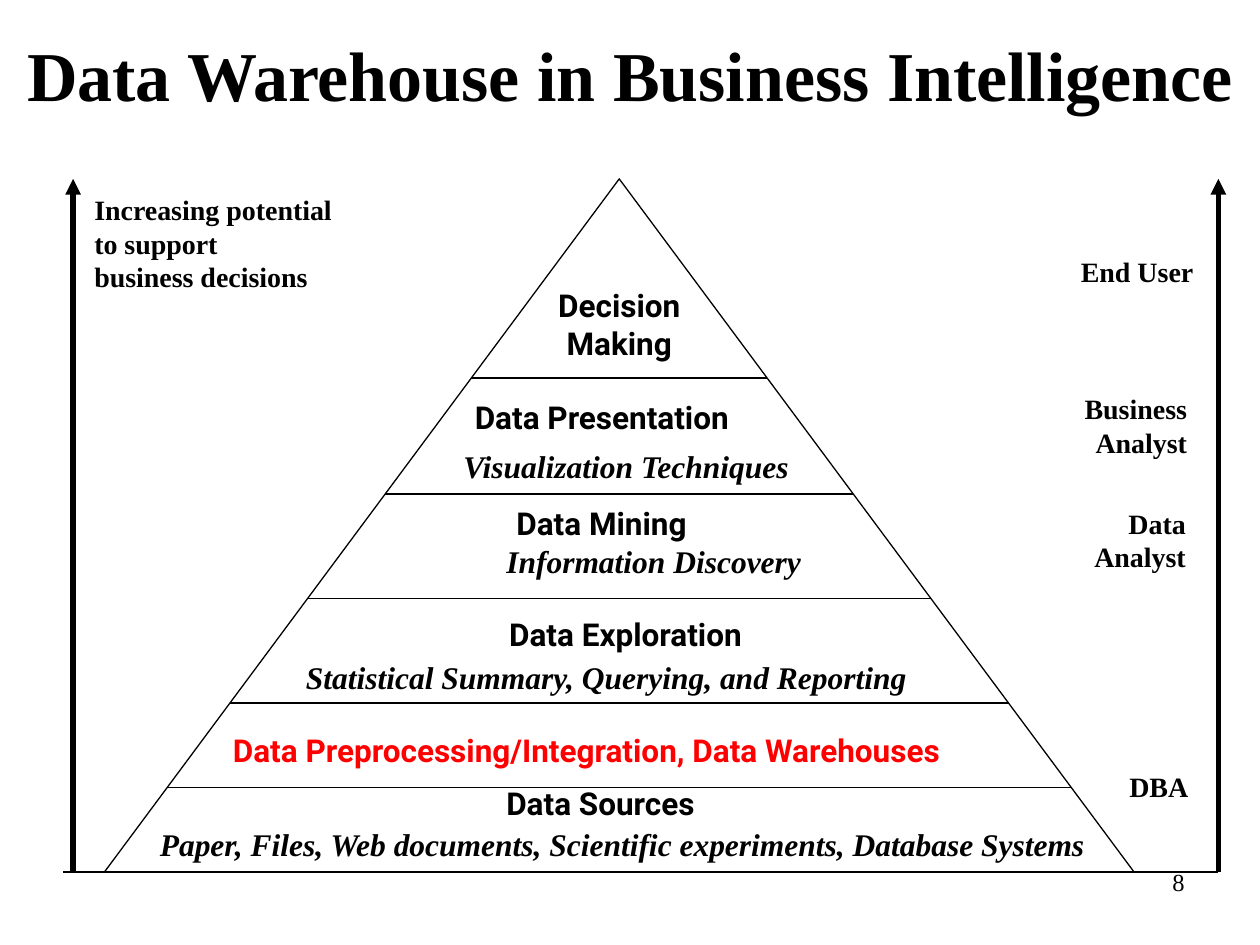
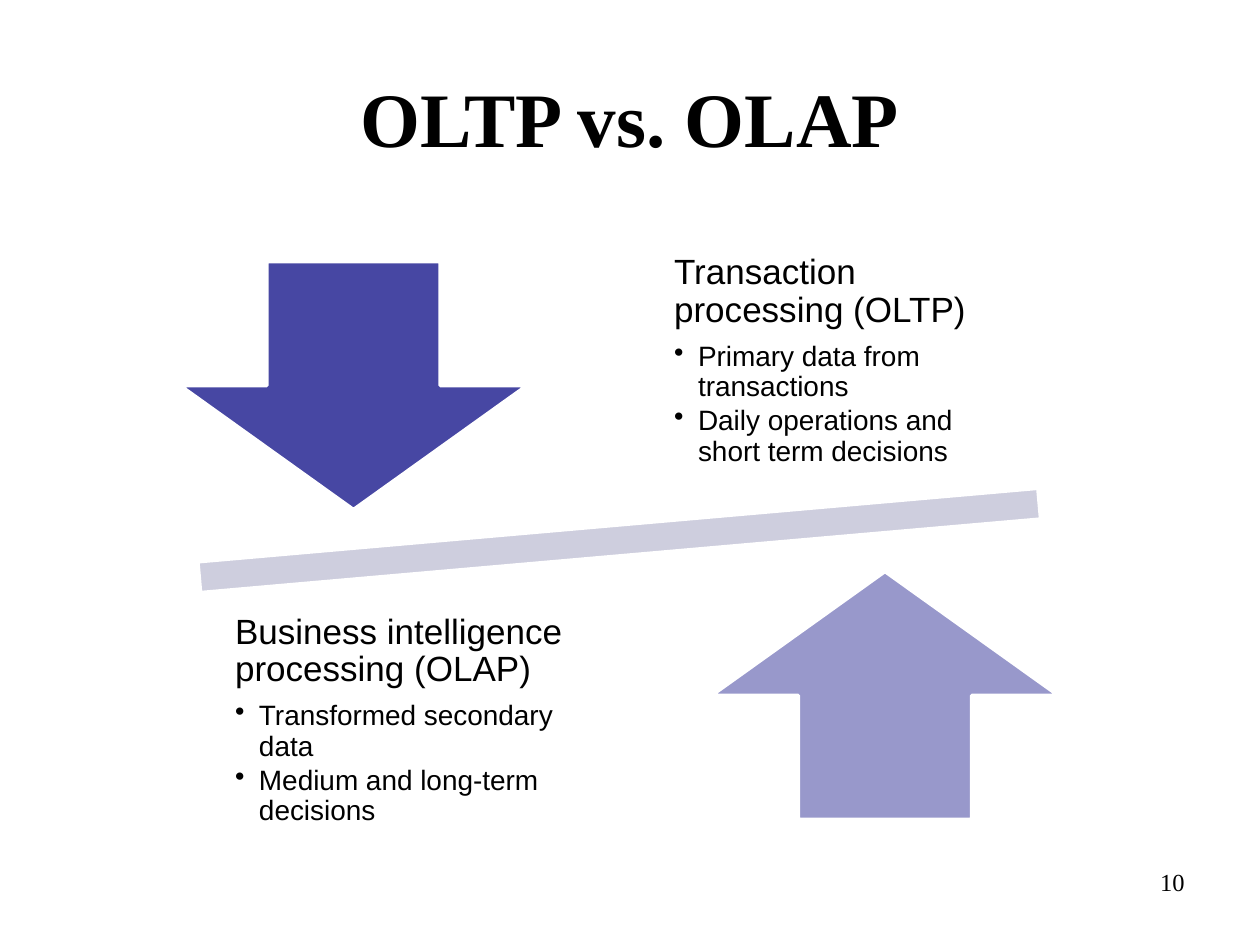
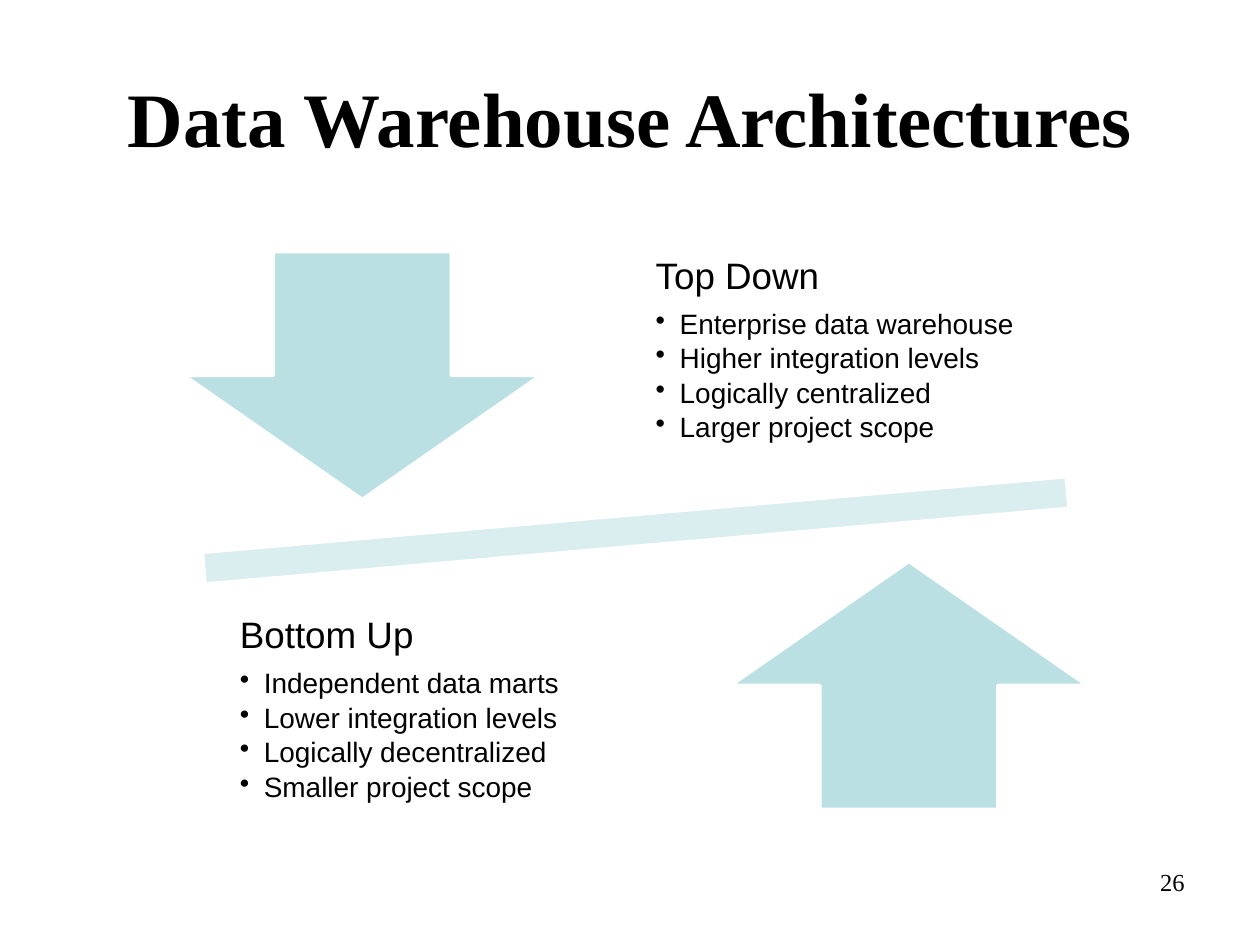
from dataclasses import dataclass

from lxml import etree
from pptx import Presentation
from pptx.dml.color import RGBColor
from pptx.enum import shapes as s, text as t
from pptx.oxml import ns
from pptx.util import Inches, Pt


@dataclass(frozen=True)
class Theme:
    ink: str = "000000"
    paper: str = "FFFFFF"
    accent: str = "FF0000"
    indigo: str = "333399"
    lavender: str = "CECEDE"
    teal: str = "BBE0E3"
    pale_teal: str = "DAEDEF"
    serif: str = "Times New Roman"
    sans: str = "Arial"
    level_face: str = "Roboto"
    title: int = 44
    long_title: int = 40
    level: int = 18
    side: int = 16
    bullet: int = 16
    number: int = 14
    thin: float = 0.75
    axis: float = 3
    edge: float = 2


THEME = Theme()
LEFT, CENTER, RIGHT = t.PP_ALIGN.LEFT, t.PP_ALIGN.CENTER, t.PP_ALIGN.RIGHT


# Shared helpers
def sub(parent, tag, **attributes):
    return etree.SubElement(parent, ns.qn(tag), **attributes)


def style(paragraph, face, size, color=THEME.ink, bold=False, italic=False):
    font = paragraph.font
    font.name, font.size, font.bold, font.italic = face, Pt(size), bold, italic
    font.color.rgb = RGBColor.from_string(color)


def add_text(slide, box, words, face, size, color=THEME.ink, bold=False, italic=False,
             align=LEFT, wrap=True, anchor=t.MSO_ANCHOR.TOP, grow=False):
    frame = slide.shapes.add_textbox(*map(Inches, box)).text_frame
    frame.word_wrap, frame.vertical_anchor = wrap, anchor
    if grow:
        frame.auto_size = t.MSO_AUTO_SIZE.SHAPE_TO_FIT_TEXT
    frame.text = words
    for paragraph in frame.paragraphs:
        paragraph.alignment = align
        style(paragraph, face, size, color, bold, italic)


def add_line(slide, start, end, width=THEME.thin, arrow=False):
    line = slide.shapes.add_connector(
        s.MSO_CONNECTOR.STRAIGHT, *map(Inches, (*start, *end)))
    line.line.color.rgb = RGBColor.from_string(THEME.ink)
    line.line.width = Pt(width)
    if arrow:
        sub(line.line._get_or_add_ln(), "a:tailEnd", type="triangle")
    sub(line._element.spPr, "a:effectLst")


def add_figure(slide, preset, box, fill, edge, edge_width, opacity=100):
    figure = slide.shapes.add_shape(preset, *map(Inches, box))
    figure.shadow.inherit = False
    figure.line.color.rgb = RGBColor.from_string(edge)
    figure.line.width = Pt(edge_width)
    if fill is None:
        figure.fill.background()
        return figure
    figure.fill.solid()
    figure.fill.fore_color.rgb = RGBColor.from_string(fill)
    if opacity < 100:
        color = figure._element.spPr.find(ns.qn("a:solidFill"))[0]
        sub(color, "a:alpha", val=str(opacity * 1000))
    return figure


def new_slide(deck, title, number, box=(0.5, 0.3, 9, 1.25), size=THEME.title):
    slide = deck.slides.add_slide(deck.slide_layouts[6])
    add_text(slide, box, title, THEME.serif, size, bold=True, align=CENTER,
             anchor=t.MSO_ANCHOR.MIDDLE)
    add_text(slide, (7.17, 6.83, 2.33, 0.52), number, THEME.serif, THEME.number,
             align=RIGHT)
    return slide


# Pyramid of business intelligence levels
def pyramid(slide, box):
    left, top, width, height = box
    middle, base = left + width / 2, top + height
    add_figure(slide, s.MSO_SHAPE.FLOWCHART_EXTRACT, box, None, THEME.ink, THEME.thin)

    # Level dividers reach from one slope to the other
    for depth in (1.58, 2.5, 3.33, 4.16, 4.83):
        half = width / 2 * depth / height
        add_line(slide, (middle - half, top + depth), (middle + half, top + depth))

    # Level names: x, y, width, height within the pyramid
    names = (
        (3.42, 0.8, 1.33, 0.7, "Decision Making", CENTER, True, THEME.ink),
        (2.84, 1.69, 2.47, 0.4, "Data Presentation", LEFT, False, THEME.ink),
        (3.17, 2.53, 1.95, 0.4, "Data Mining", LEFT, True, THEME.ink),
        (2.85, 3.41, 2.57, 0.4, "Data Exploration", CENTER, True, THEME.ink),
        (0.92, 4.33, 6.59, 0.4, "Data Preprocessing/Integration, Data Warehouses",
         LEFT, False, THEME.accent),
        (3.09, 4.75, 1.86, 0.4, "Data Sources", LEFT, False, THEME.ink),
    )
    for x, y, w, h, name, align, wrap, color in names:
        add_text(slide, (left + x, top + y, w, h), name, THEME.level_face, THEME.level,
                 color, bold=True, align=align, wrap=wrap, grow=True)

    # What each level does
    details = (
        (2.75, 2.08, 2.82, "Visualization Techniques", False),
        (3.09, 2.83, 2.54, "Information Discovery", False),
        (1.5, 3.75, 5, "Statistical Summary, Querying, and Reporting", True),
        (0.34, 5.08, 7.78, "Paper, Files, Web documents, Scientific experiments, "
         "Database Systems", True),
    )
    for x, y, w, detail, wrap in details:
        add_text(slide, (left + x, top + y, w, 0.4), detail, THEME.serif, THEME.level,
                 bold=True, italic=True, wrap=wrap, grow=True)
    add_line(slide, (left - 0.33, base), (left + width + 0.67, base))


# Vertical arrows with the labels beside them
def side_axes(slide, box):
    left, top, width, height = box
    for x in (left, left + width):
        add_line(slide, (x, top + height), (x, top), THEME.axis, arrow=True)
    labels = (
        (0.07, 0.06, 2.1, 0.9, "Increasing potential\nto support\nbusiness decisions", LEFT),
        (7.89, 0.55, 1.1, 0.37, "End User", RIGHT),
        (7.9, 1.64, 1.04, 0.64, "Business\nAnalyst", RIGHT),
        (7.99, 2.55, 0.94, 0.64, "Data\nAnalyst", RIGHT),
        (8.28, 4.64, 0.67, 0.37, "DBA", RIGHT),
    )
    for x, y, w, h, label, align in labels:
        add_text(slide, (left + x, top + y, w, h), label, THEME.serif, THEME.side,
                 bold=True, align=align, wrap=False, grow=True)


# Heading with bullets
def topic(slide, box, heading, points, heading_size):
    frame = slide.shapes.add_textbox(*map(Inches, box)).text_frame
    frame.word_wrap, frame.vertical_anchor = True, t.MSO_ANCHOR.MIDDLE
    frame.margin_left = frame.margin_right = Inches(0.16)
    frame.margin_top = frame.margin_bottom = Inches(0.16)
    frame.text = "\n".join((heading, *points))
    for index, paragraph in enumerate(frame.paragraphs):
        size, gap = (THEME.bullet, 0.15) if index else (heading_size, 0.35)
        paragraph.line_spacing = 0.9
        paragraph.space_after = Pt(size * gap)
        if index:
            paragraph.level = 1
            properties = paragraph._p.get_or_add_pPr()
            properties.set("marL", str(Inches(0.19)))
            properties.set("indent", str(-Inches(0.19)))
            sub(properties, "a:buChar", char="•")
        style(paragraph, THEME.sans, size)


# Two opposed arrows on either side of a tilted bar
def balance(slide, box, upper, lower, bar_color, arrow_color, opacities=(100, 100),
            heading_size=20, upper_share=0.32):
    left, top, width, height = box

    def part(x, y, w, h):
        return left + x * width, top + y * height, w * width, h * height

    bar_width = 0.993 * width
    bar_height = 0.1145 * bar_width
    bar_box = (left + (width - bar_width) / 2, top + (height - bar_height) / 2,
               bar_width, bar_height)
    bar = add_figure(slide, s.MSO_SHAPE.MATH_MINUS, bar_box, bar_color,
                     THEME.paper, THEME.edge)
    bar.rotation = 355

    sides = (
        (s.MSO_SHAPE.DOWN_ARROW, 0.12, 0.05, 0.69, 0, upper_share, upper),
        (s.MSO_SHAPE.UP_ARROW, 0.58, 0.55, 0.31, 0.58, 0.32, lower),
    )
    for (arrow, x, y, center, text_y, share, words), opacity in zip(sides, opacities):
        add_figure(slide, arrow, part(x, y, 0.3, 0.4), arrow_color, THEME.paper,
                   THEME.edge, opacity)
        topic(slide, part(center - share / 2, text_y, share, 0.42), *words, heading_size)


def main():
    deck = Presentation()
    deck.slide_width, deck.slide_height = Inches(10), Inches(7.5)

    intelligence = new_slide(deck, "Data Warehouse in Business Intelligence", "8",
                             (0, 0.08, 10, 1.01), THEME.long_title)
    pyramid(intelligence, (0.83, 1.42, 8.17, 5.5))
    side_axes(intelligence, (0.58, 1.42, 9.09, 5.5))

    processing = new_slide(deck, "OLTP vs. OLAP", "10")
    balance(
        processing, (0.33, 1.83, 9.17, 4.92),
        ("Transaction processing (OLTP)",
         ("Primary data from transactions", "Daily operations and short term decisions")),
        ("Business intelligence processing (OLAP)",
         ("Transformed secondary data", "Medium and long-term decisions")),
        THEME.lavender, THEME.indigo, opacities=(90, 50))

    architectures = new_slide(deck, "Data Warehouse Architectures", "26")
    balance(
        architectures, (0.33, 1.75, 9.43, 4.92),
        ("Top Down", ("Enterprise data warehouse", "Higher integration levels",
                      "Logically centralized", "Larger project scope")),
        ("Bottom Up", ("Independent data marts", "Lower integration levels",
                       "Logically decentralized", "Smaller project scope")),
        THEME.pale_teal, THEME.teal, heading_size=21, upper_share=0.38)

    deck.save("out.pptx")


if __name__ == "__main__":
    main()
